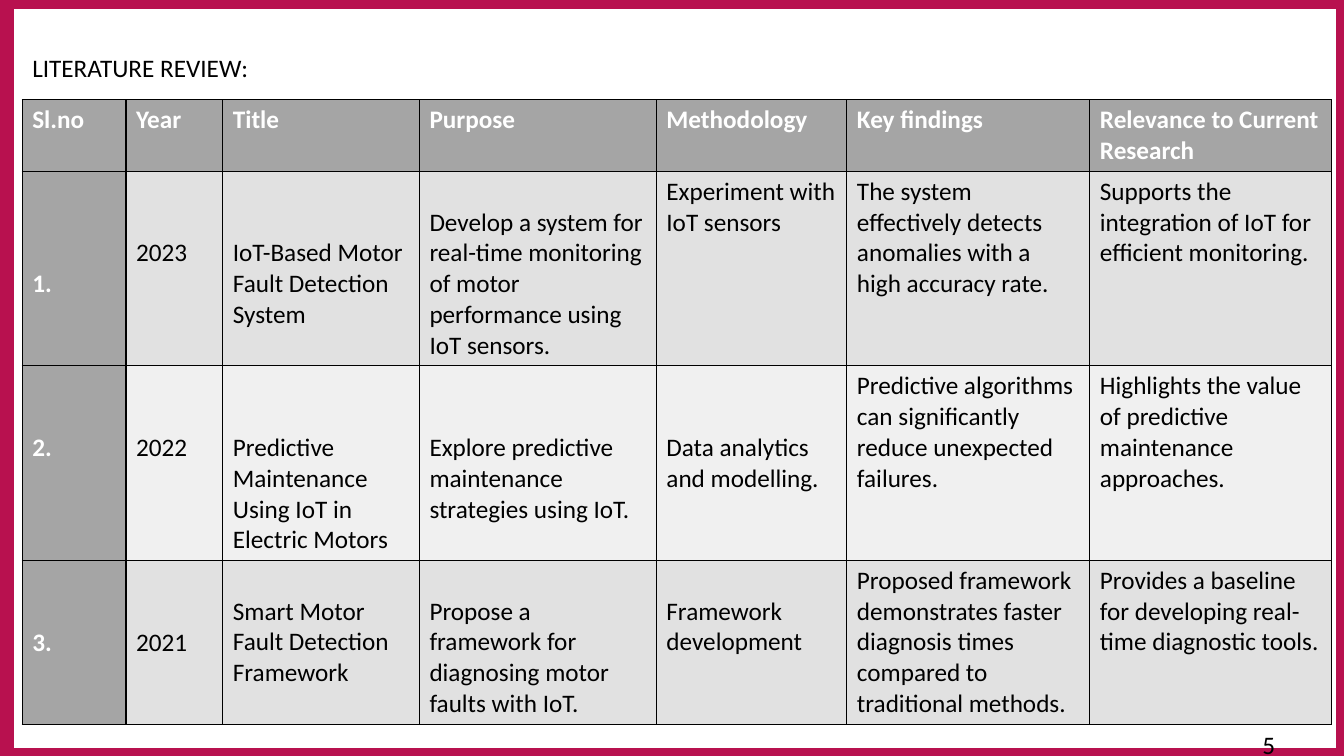
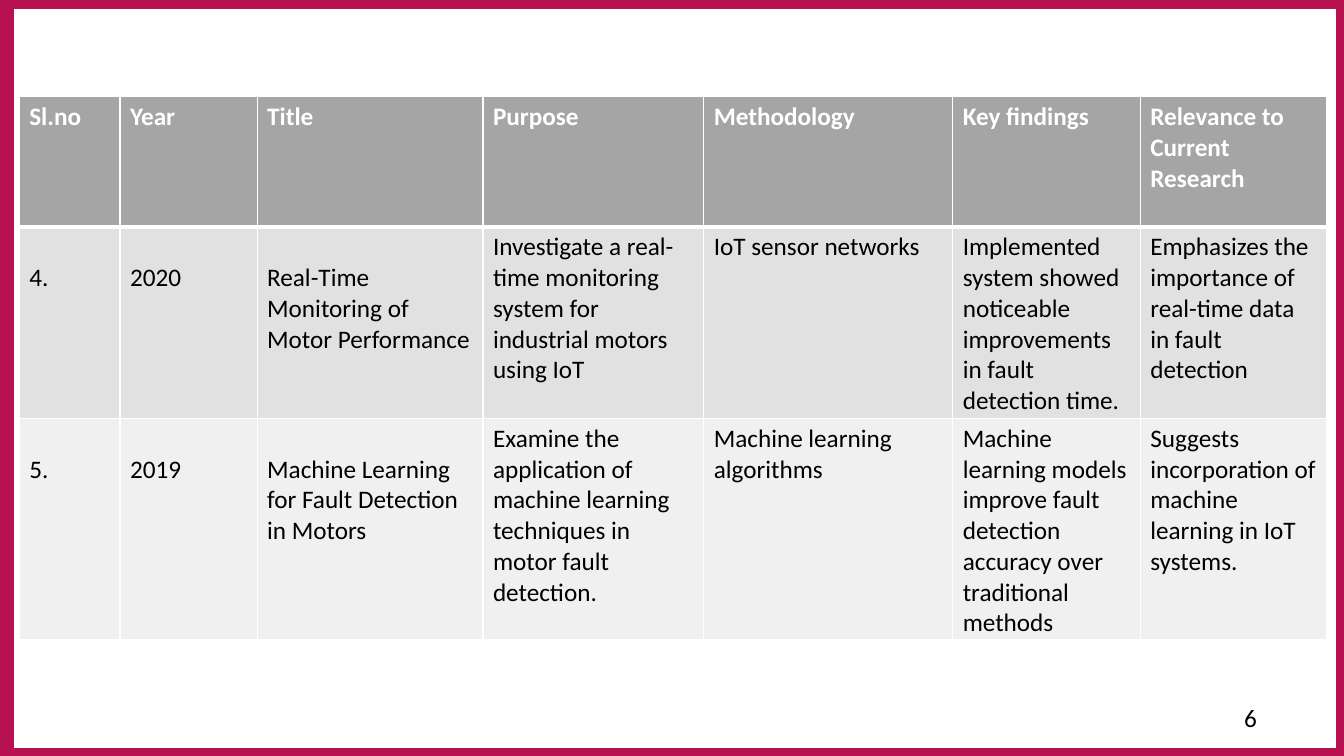
from dataclasses import dataclass

from lxml.etree import SubElement
from pptx import Presentation
from pptx.dml.color import RGBColor
from pptx.enum.shapes import MSO_SHAPE
from pptx.enum.text import MSO_ANCHOR, MSO_AUTO_SIZE, PP_ALIGN
from pptx.oxml.ns import qn
from pptx.presentation import Presentation as Deck
from pptx.slide import Slide
from pptx.table import _Cell
from pptx.text.text import TextFrame
from pptx.util import Emu, Pt

PX = 9144  # 100 px to the inch
WIDTH, HEIGHT = 1333, 750
FONT, TEXT_SIZE = "Calibri", 18
LINE_HEIGHT = 30.55  # one line of 18 pt text, in px
CELL_TOP = 5
PAGE_INDENT = 28
TITLE_ONLY, BLANK = 5, 6

COLORS = {
    "frame": "B8114F",
    "paper": "FFFFFF",
    "ink": "000000",
    "head": "A5A5A5",
    "odd": "E1E1E1",
    "even": "F0F0F0",
}
HEADINGS = ("Sl.no", "Year", "Title", "Purpose", "Methodology", "Key findings",
            "Relevance to Current Research")


@dataclass(frozen=True)
class Study:
    """One table row; drops gives the lines each cell's text is lowered by."""
    texts: tuple[str, ...]
    drops: tuple[int, ...]


@dataclass(frozen=True)
class Review:
    """One slide's table and page number; border is the colour of its rules."""
    left: int
    top: int
    columns: tuple[int, ...]
    rows: tuple[int, ...]
    studies: tuple[Study, ...]
    border: str
    head_rule: int
    shaded_numbers: bool
    page: str
    page_left: int
    page_top: int
    page_width: int
    title: str = ""


REVIEWS = (
    Review(
        left=22, top=99, columns=(103, 96, 195, 235, 189, 241, 240),
        rows=(71, 193, 193, 163), border="ink", head_rule=1, shaded_numbers=True,
        page="5", page_left=1214, page_top=719, page_width=82,
        title="LITERATURE REVIEW:",
        studies=(
            Study(("1.", "2023", "IoT-Based Motor Fault Detection System",
                   "Develop a system for real-time monitoring of motor performance "
                   "using IoT sensors.",
                   "Experiment with IoT sensors",
                   "The system effectively detects anomalies with a high accuracy rate.",
                   "Supports the integration of IoT for efficient monitoring."),
                  (3, 2, 2, 1, 0, 0, 0)),
            Study(("2.", "2022", "Predictive Maintenance Using IoT in Electric Motors",
                   "Explore predictive maintenance strategies using IoT.",
                   "Data analytics and modelling.",
                   "Predictive algorithms can significantly reduce unexpected failures.",
                   "Highlights the value of predictive maintenance approaches."),
                  (2, 2, 2, 2, 2, 0, 0)),
            Study(("3.", "2021", "Smart Motor Fault Detection Framework",
                   "Propose a framework for diagnosing motor faults with IoT.",
                   "Framework development",
                   "Proposed framework demonstrates faster diagnosis times compared "
                   "to traditional methods.",
                   "Provides a baseline for developing real-time diagnostic tools."),
                  (2, 2, 1, 1, 1, 0, 0)),
        ),
    ),
    Review(
        left=19, top=96, columns=(100, 136, 224, 219, 247, 186, 185),
        rows=(129, 190, 220), border="paper", head_rule=3, shaded_numbers=False,
        page="6", page_left=1196, page_top=692, page_width=92,
        studies=(
            Study(("4.", "2020", "Real-Time Monitoring of Motor Performance",
                   "Investigate a real-time monitoring system for industrial motors "
                   "using IoT",
                   "IoT sensor networks",
                   "Implemented system showed noticeable improvements in fault "
                   "detection time.",
                   "Emphasizes the importance of real-time data in fault detection"),
                  (1, 1, 1, 0, 0, 0, 0)),
            Study(("5.", "2019", "Machine Learning for Fault Detection in Motors",
                   "Examine the application of machine learning techniques in motor "
                   "fault detection.",
                   "Machine learning algorithms",
                   "Machine learning models improve fault detection accuracy over "
                   "traditional methods",
                   "Suggests incorporation of machine learning in IoT systems."),
                  (1, 1, 1, 0, 0, 0, 0)),
        ),
    ),
)


def px(length: float) -> Emu:
    return Emu(round(length * PX))


def color(key: str) -> RGBColor:
    return RGBColor.from_string(COLORS[key])


def write(frame: TextFrame, text: str, ink: str = "ink", bold: bool = False) -> None:
    frame.text = text
    frame.word_wrap = True
    paragraph = frame.paragraphs[0]
    paragraph.alignment = PP_ALIGN.LEFT
    font = paragraph.runs[0].font
    font.name, font.size, font.bold = FONT, Pt(TEXT_SIZE), bold
    font.color.rgb = color(ink)


def frame_master(deck: Deck, slide: Slide) -> None:
    """Draw the coloured frame on a slide and move it to the master's back."""
    panels = ((0, 0, WIDTH, HEIGHT, "frame"), (13, 8, 1313, 735, "paper"))
    for order, (left, top, width, height, fill) in enumerate(panels):
        panel = slide.shapes.add_shape(MSO_SHAPE.RECTANGLE, px(left), px(top),
                                       px(width), px(height))
        panel.shadow.inherit = False
        panel.fill.solid()
        panel.fill.fore_color.rgb = color(fill)
        panel.line.color.rgb = color("frame")
        panel.line.width = Pt(1)
        panel._element.nvSpPr.cNvPr.id = 20 + order
        deck.slide_master.shapes._spTree.insert(2 + order, panel._element)


def set_borders(cell: _Cell, key: str, top: int, bottom: int) -> None:
    properties = cell._tc.get_or_add_tcPr()
    for side, width in (("L", 1), ("R", 1), ("T", top), ("B", bottom)):
        rule = SubElement(properties, qn(f"a:ln{side}"), w=str(Pt(width)))
        fill = SubElement(rule, qn("a:solidFill"))
        SubElement(fill, qn("a:srgbClr"), val=COLORS[key])


def add_review_table(slide: Slide, review: Review) -> None:
    header = Study(HEADINGS, (0,) * len(HEADINGS))
    studies = (header, *review.studies)
    table = slide.shapes.add_table(
        len(studies), len(HEADINGS), px(review.left), px(review.top),
        px(sum(review.columns)), px(sum(review.rows))).table
    table.horz_banding = False
    for column, width in zip(table.columns, review.columns):
        column.width = px(width)
    for row, height in zip(table.rows, review.rows):
        row.height = px(height)
    for r, study in enumerate(studies):
        for c, (text, drop) in enumerate(zip(study.texts, study.drops)):
            cell = table.cell(r, c)
            set_borders(cell, review.border, review.head_rule if r == 1 else 1,
                        review.head_rule if r == 0 else 1)
            shaded = r == 0 or (c == 0 and review.shaded_numbers)
            cell.fill.solid()
            cell.fill.fore_color.rgb = color(
                "head" if shaded else "odd" if r % 2 else "even")
            cell.vertical_anchor = MSO_ANCHOR.TOP
            cell.margin_top = px(CELL_TOP + drop * LINE_HEIGHT)
            cell.margin_bottom = 0
            write(cell.text_frame, text, "paper" if shaded else "ink", shaded)


def add_title(slide: Slide, text: str) -> None:
    title = slide.shapes.title
    title.left, title.top, title.width, title.height = map(px, (22, 47, 489, 40))
    write(title.text_frame, text)
    title.text_frame.vertical_anchor = MSO_ANCHOR.TOP
    title.text_frame.auto_size = MSO_AUTO_SIZE.NONE


def add_page_number(slide: Slide, review: Review) -> None:
    number = slide.shapes.add_textbox(px(review.page_left), px(review.page_top),
                                      px(review.page_width), px(40))
    write(number.text_frame, review.page)
    number.text_frame.margin_left = px(10 + PAGE_INDENT)


def main() -> None:
    deck = Presentation()
    deck.slide_width, deck.slide_height = px(WIDTH), px(HEIGHT)
    for review in REVIEWS:
        layout = TITLE_ONLY if review.title else BLANK
        slide = deck.slides.add_slide(deck.slide_layouts[layout])
        if review is REVIEWS[0]:
            frame_master(deck, slide)
        add_review_table(slide, review)
        if review.title:
            add_title(slide, review.title)
        add_page_number(slide, review)
    deck.save("out.pptx")


if __name__ == "__main__":
    main()
